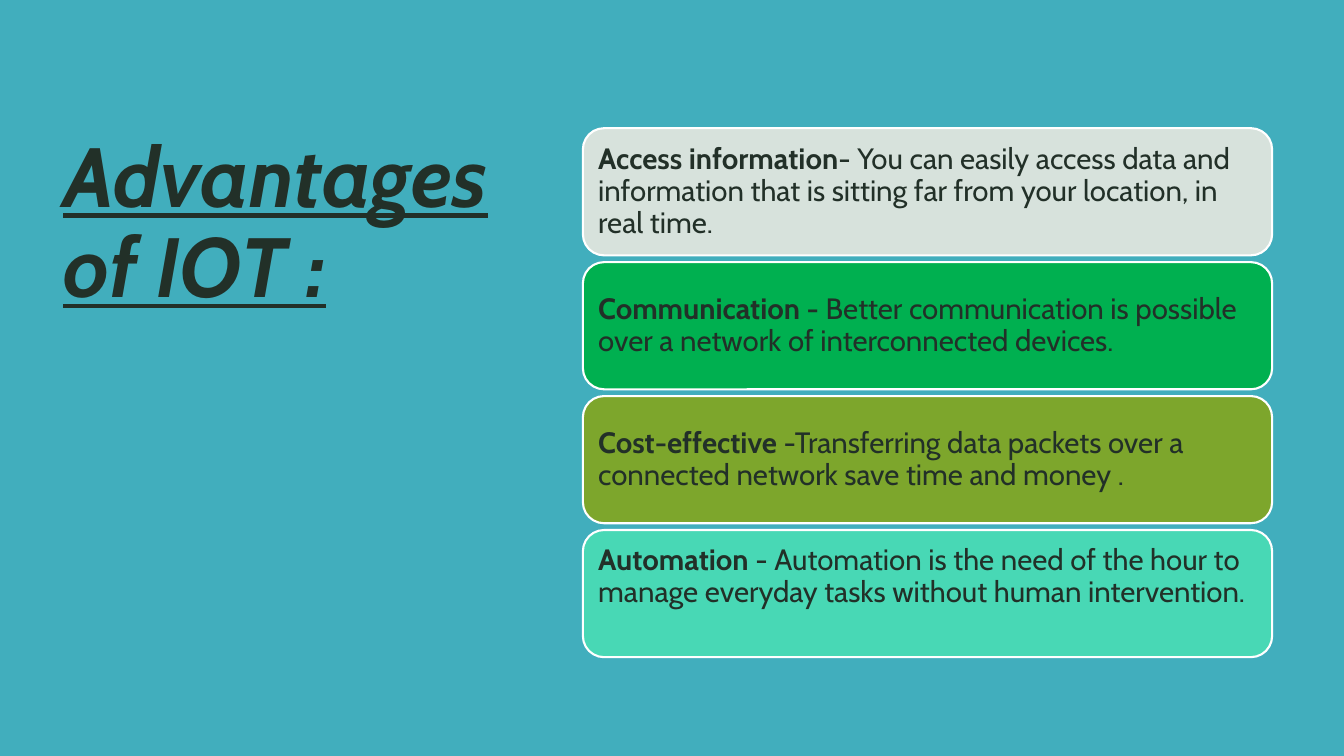
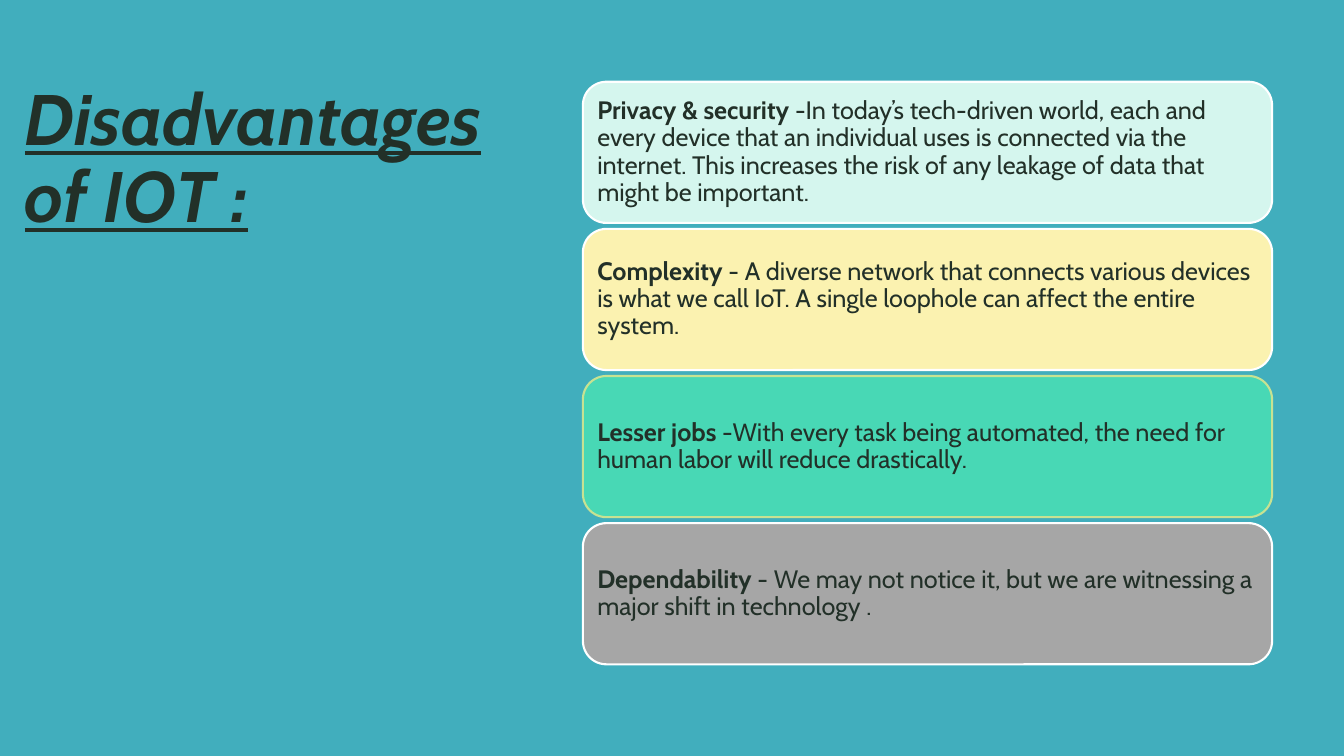
from dataclasses import dataclass

from pptx import Presentation
from pptx.dml.color import RGBColor as RGB
from pptx.enum.shapes import MSO_SHAPE as Shape
from pptx.enum.text import MSO_ANCHOR as Anchor, PP_ALIGN as Align
from pptx.util import Cm, Pt


@dataclass(frozen=True)
class Theme:
    font: str = "Cabin"
    back: str = "41AEBD"
    ink: str = "223028"
    white: str = "FFFFFF"
    lime: str = "C7E292"
    mist: str = "D7E2DC"
    green: str = "00B050"
    olive: str = "7DA62C"
    mint: str = "48D8B5"
    pale_mint: str = "D5F6EE"
    cream: str = "FBF2B0"
    grey: str = "A6A6A6"
    outline: float = 1.5
    leading: float = 0.9


T = Theme()


@dataclass(frozen=True)
class Card:
    head: str
    body: str
    fill: str
    line: str = T.white
    anchor: Anchor = Anchor.MIDDLE


@dataclass(frozen=True)
class Topic:
    title: str
    title_box: tuple
    title_size: int
    cards_box: tuple
    gap: float
    inset: float
    size: int
    cards: tuple


TOPICS = (
    Topic(
        "Advantages of IOT :", (1.35, 1.47, 13.36, 8.41), 60,
        (14.69, 3.23, 17.37, 13.33), 0.17, 0.23, 21,
        (
            Card("Access information", "- You can easily access data and information "
                 "that is sitting far from your location, in real time.", T.mist),
            Card("Communication - ", "Better communication is possible over a network "
                 "of interconnected devices.", T.green),
            Card("Cost-effective ", "-Transferring data packets over a connected "
                 "network save time and money .", T.olive),
            Card("Automation", " - Automation is the need of the hour to manage "
                 "everyday tasks without human intervention.", T.mint, anchor=Anchor.TOP),
        ),
    ),
    Topic(
        "Disadvantages of IOT :", (0.38, 1.78, 12.7, 4.55), 51,
        (14.69, 2.06, 17.37, 14.68), 0.15, 0.19, 18,
        (
            Card("Privacy & security ", "-In today’s tech-driven world, each and every "
                 "device that an individual uses is connected via the internet. This "
                 "increases the risk of any leakage of data that might be important.",
                 T.pale_mint),
            Card("Complexity ", "- A diverse network that connects various devices is "
                 "what we call IoT. A single loophole can affect the entire system.",
                 T.cream),
            Card("Lesser jobs ", "-With every task being automated, the need for human "
                 "labor will reduce drastically.", T.mint, T.lime),
            Card("Dependability ", "- We may not notice it, but we are witnessing a "
                 "major shift in technology .", T.grey),
        ),
    ),
)


def set_attrs(obj, values):
    for name, value in values.items():
        setattr(obj, name, value)


def write(tf, runs, size, anchor=Anchor.MIDDLE):
    set_attrs(tf, {"word_wrap": True, "vertical_anchor": anchor})
    p = tf.paragraphs[0]
    set_attrs(p, {"alignment": Align.LEFT, "line_spacing": T.leading})
    for text, style in runs:
        r = p.add_run()
        r.text = text
        set_attrs(r.font, {"name": T.font, "size": Pt(size), **style})
        r.font.color.rgb = RGB.from_string(T.ink)


def add_title(s, box, text, size):
    tb = s.shapes.add_textbox(*map(Cm, box))
    write(tb.text_frame, [(text, {"bold": True, "italic": True, "underline": True})], size)


def add_card(s, box, card, size, inset):
    sp = s.shapes.add_shape(Shape.ROUNDED_RECTANGLE, *map(Cm, box))
    sp.shadow.inherit = False
    sp.fill.solid()
    sp.fill.fore_color.rgb = RGB.from_string(card.fill)
    sp.line.color.rgb = RGB.from_string(card.line)
    sp.line.width = Pt(T.outline)
    tf = sp.text_frame
    sides = ("left", "top", "right", "bottom")
    set_attrs(tf, {f"margin_{side}": Cm(inset) for side in sides})
    runs = [(card.head, {"bold": True}), (card.body, {"bold": False})]
    write(tf, runs, size, card.anchor)


def add_cards(s, box, topic):
    left, top, width, height = box
    count = len(topic.cards)
    card_h = (height - topic.gap * (count - 1)) / count
    for i, card in enumerate(topic.cards):
        card_top = top + i * (card_h + topic.gap)
        add_card(s, (left, card_top, width, card_h), card, topic.size, topic.inset)


def add_topic(prs, topic):
    s = prs.slides.add_slide(prs.slide_layouts[6])
    add_title(s, topic.title_box, topic.title, topic.title_size)
    add_cards(s, topic.cards_box, topic)


def main():
    prs = Presentation()
    set_attrs(prs, {"slide_width": Cm(33.87), "slide_height": Cm(19.05)})
    fill = prs.slide_master.background.fill
    fill.solid()
    fill.fore_color.rgb = RGB.from_string(T.back)
    for topic in TOPICS:
        add_topic(prs, topic)
    prs.save("out.pptx")


if __name__ == "__main__":
    main()
